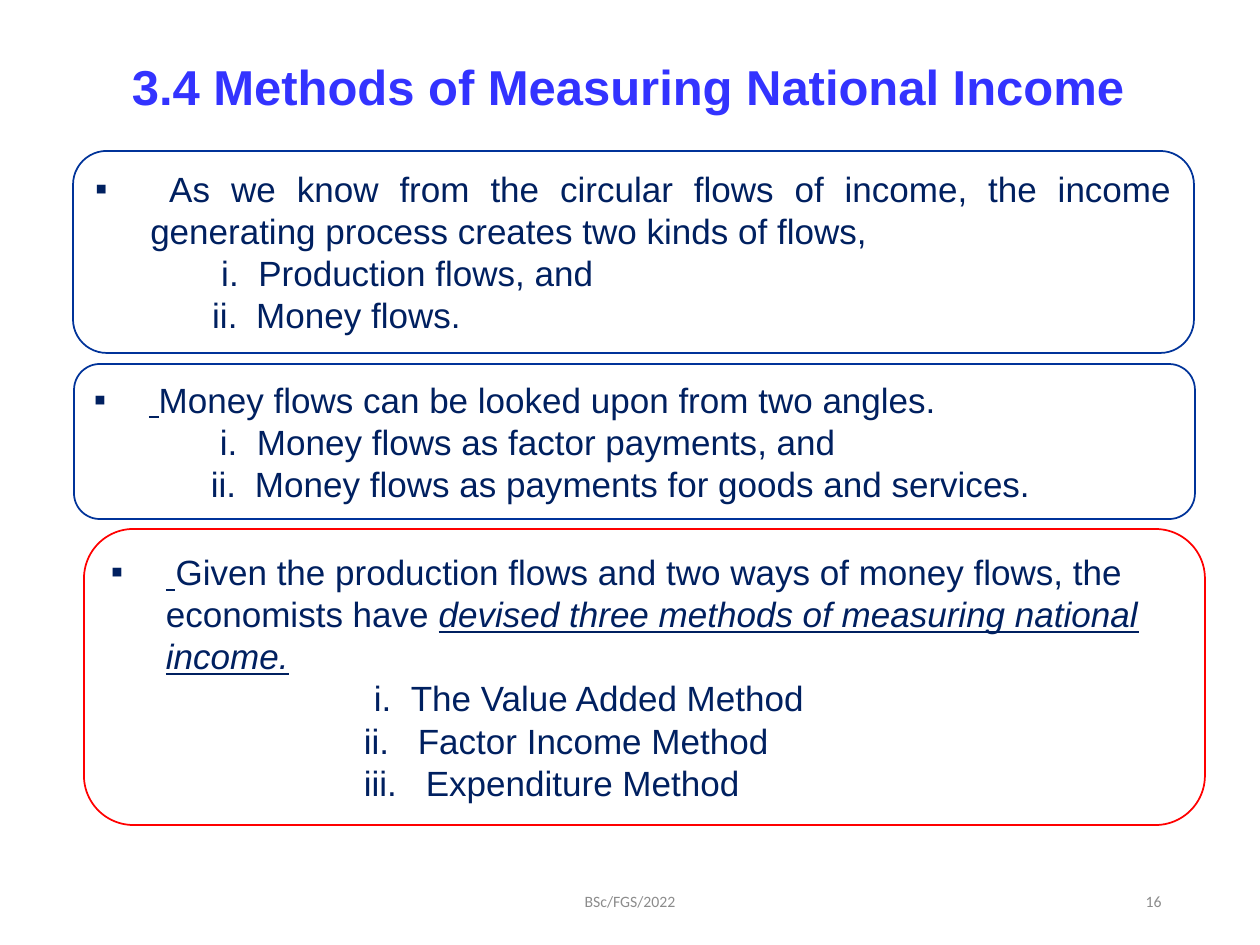
from dataclasses import dataclass

from lxml.etree import SubElement
from pptx import Presentation
from pptx.dml.color import RGBColor
from pptx.enum.shapes import MSO_SHAPE as Shape
from pptx.enum.text import MSO_ANCHOR as Anchor, PP_ALIGN as Align
from pptx.oxml.ns import qn
from pptx.util import Pt

PX = 914400 // 126


@dataclass(frozen=True)
class Theme:
    body_font: str = "Arial"
    footer_font: str = "Calibri"
    title_color: str = "3333FF"
    body_color: str = "002060"
    footer_color: str = "8C8C8C"
    box_fill: str = "FFFFFF"
    blue_line: str = "003399"
    red_line: str = "FF0000"
    title_size: int = 28
    body_size: int = 20
    footer_size: int = 9


THEME = Theme()
PAGE = (1260, 945)
BULLET_INDENT = 55

TITLE = ("3.4 Methods of Measuring National Income", (39, 50, 1178, 106))
FOOTERS = [
    ("BSc/FGS/2022", (417, 876, 426, 50), Align.CENTER),
    ("16", (890, 876, 284, 50), Align.RIGHT),
]
# Lead: (text, emphasis) with emphasis "u" underline, "i" italic.
# Items: (marker, text, marker offset, text offset).
PANELS = [
    dict(
        area=(73, 151, 1121, 202), line=THEME.blue_line, align=Align.JUSTIFY,
        lead=[(" As we know from the circular flows of income, the income "
               "generating process creates two kinds of flows,", "")],
        items=[("i.", "Production flows, and", 126, 163),
               ("ii.", "Money flows.", 117, 161)],
    ),
    dict(
        area=(74, 364, 1121, 155), line=THEME.blue_line, align=Align.LEFT,
        lead=[(" ", "iu"), ("Money flows can be looked upon from two angles.", "")],
        items=[("i.", "Money flows as factor payments, and", 126, 163),
               ("ii.", "Money flows as payments for goods and services.", 117, 161)],
    ),
    dict(
        area=(84, 529, 1121, 296), line=THEME.red_line, align=Align.LEFT,
        lead=[(" ", "iu"),
              ("Given the production flows and two ways of money flows, "
               "the economists have ", ""),
              ("devised three methods of measuring national income.", "iu")],
        items=[("i.", "The Value Added Method", 263, 300),
               ("ii.", "Factor Income Method", 253, 307),
               ("iii.", "Expenditure Method", 253, 315)],
    ),
]


def emu(area):
    return [value * PX for value in area]


def rgb(color):
    return RGBColor.from_string(color)


def write(paragraph, text, *, size=THEME.body_size, font=THEME.body_font,
          color=THEME.body_color, bold=False, emphasis="", align=None):
    """Append a formatted run to the paragraph."""
    run = paragraph.add_run()
    run.text = text
    run.font.size = Pt(size)
    run.font.name = font
    run.font.color.rgb = rgb(color)
    run.font.bold = bold
    run.font.italic = "i" in emphasis
    run.font.underline = "u" in emphasis
    if align is not None:
        paragraph.alignment = align


def hang(paragraph, first, rest, bullet=None):
    """Start the first line at one offset and the text at another."""
    properties = paragraph._p.get_or_add_pPr()
    properties.set("marL", str(rest * PX))
    properties.set("indent", str((first - rest) * PX))
    if bullet:
        SubElement(properties, qn("a:buFont"), typeface=THEME.body_font)
        SubElement(properties, qn("a:buChar"), char=bullet)
    else:
        SubElement(properties, qn("a:buNone"))
        tabs = SubElement(properties, qn("a:tabLst"))
        SubElement(tabs, qn("a:tab"), pos=str(rest * PX), algn="l")


def add_label(slide, text, area, anchor, **style):
    frame = slide.shapes.add_textbox(*emu(area)).text_frame
    frame.word_wrap = True
    frame.vertical_anchor = anchor
    write(frame.paragraphs[0], text, **style)


def add_panel(slide, area, line, align, lead, items):
    box = slide.shapes.add_shape(Shape.ROUNDED_RECTANGLE, *emu(area))
    box.shadow.inherit = False
    box.fill.solid()
    box.fill.fore_color.rgb = rgb(THEME.box_fill)
    box.line.color.rgb = rgb(line)
    box.line.width = Pt(1)
    frame = box.text_frame
    frame.word_wrap = True
    frame.vertical_anchor = Anchor.MIDDLE
    opening = frame.paragraphs[0]
    hang(opening, 0, BULLET_INDENT, bullet="▪")
    for text, emphasis in lead:
        write(opening, text, emphasis=emphasis, align=align)
    for marker, text, marker_x, text_x in items:
        entry = frame.add_paragraph()
        hang(entry, marker_x, text_x)
        write(entry, f"{marker}\t{text}", align=Align.LEFT)


def main():
    deck = Presentation()
    deck.slide_width, deck.slide_height = emu(PAGE)
    slide = deck.slides.add_slide(deck.slide_layouts[6])
    add_label(slide, *TITLE, Anchor.TOP, size=THEME.title_size,
              color=THEME.title_color, bold=True, align=Align.CENTER)
    for panel in PANELS:
        add_panel(slide, **panel)
    for text, area, align in FOOTERS:
        add_label(slide, text, area, Anchor.MIDDLE, size=THEME.footer_size,
                  font=THEME.footer_font, color=THEME.footer_color, align=align)
    deck.save("out.pptx")


if __name__ == "__main__":
    main()
